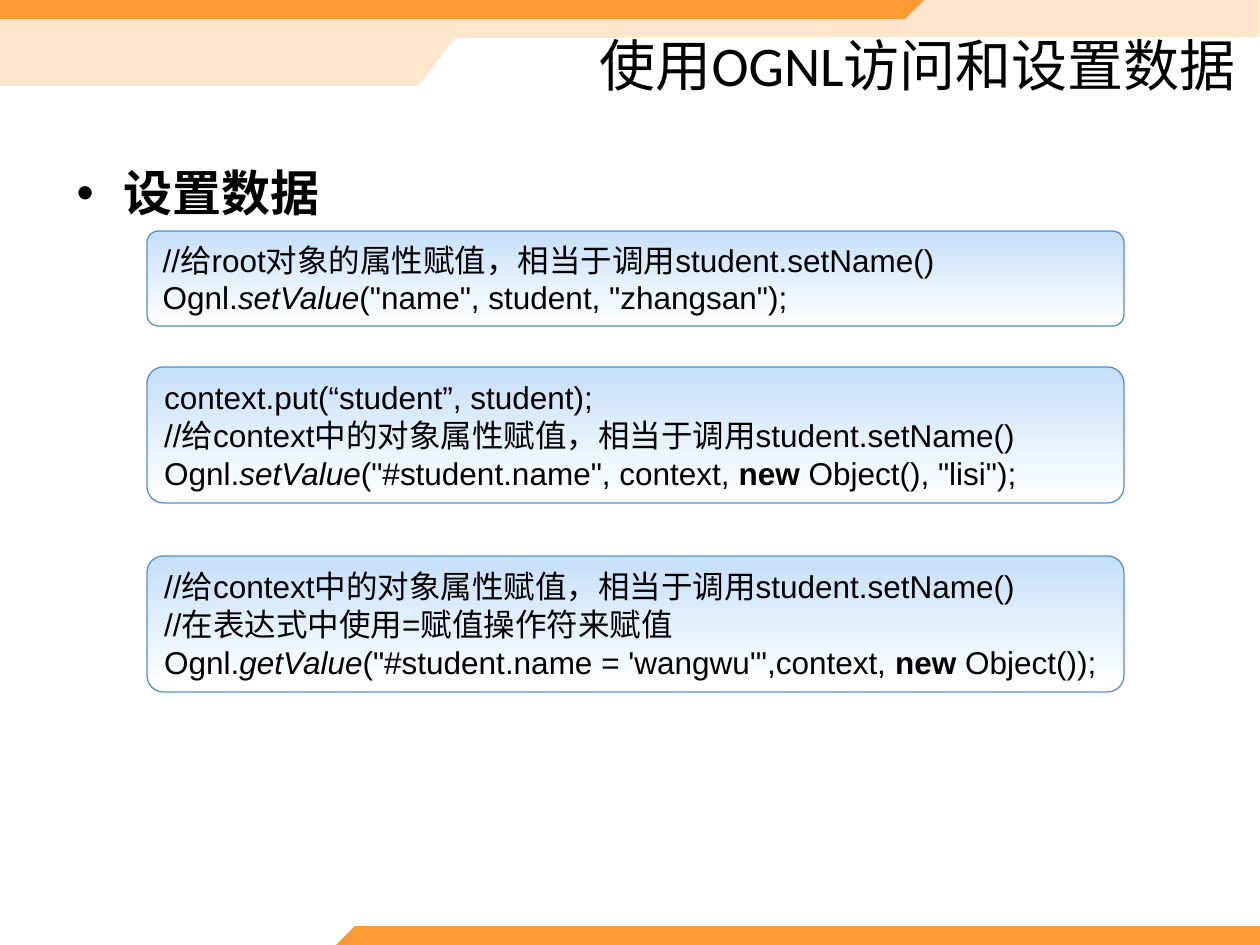
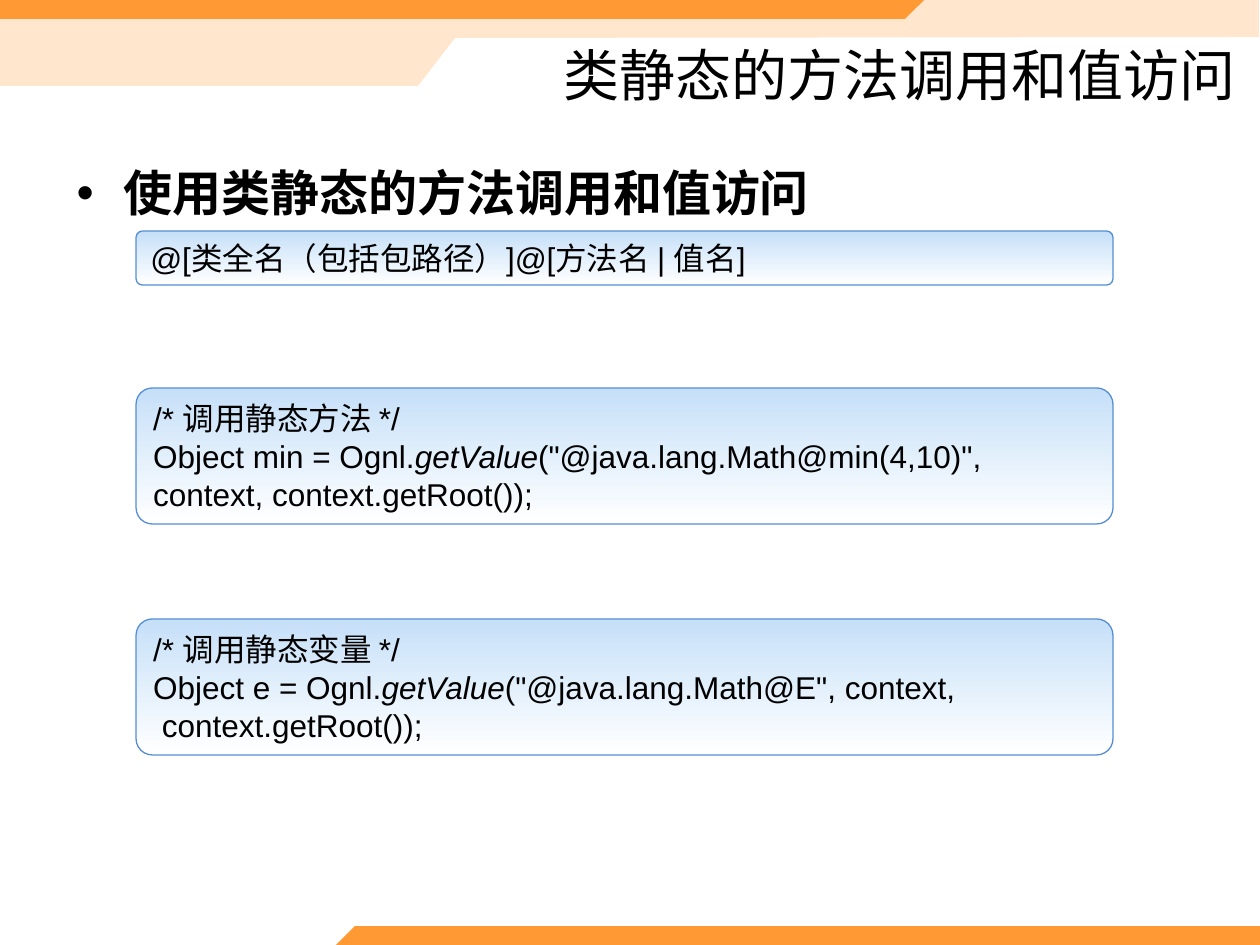
from dataclasses import dataclass

from pptx import Presentation
from pptx.dml.color import RGBColor
from pptx.enum.shapes import MSO_SHAPE
from pptx.enum.text import MSO_ANCHOR, MSO_AUTO_SIZE, PP_ALIGN
from pptx.util import Pt

PX = 914400 / 126  # EMU in one px


@dataclass(frozen=True)
class Theme:
    ink: str = "000000"
    orange: str = "FF9933"
    peach: str = "FFE6CD"
    box_top: str = "C6E0F8"
    box_bottom: str = "FFFFFF"
    box_line: str = "558ED5"
    heading_font: str = "Calibri"
    code_font: str = "Arial"
    title_size: int = 32
    body_size: int = 28
    code_size: int = 18


THEME = Theme()
SLIDE_SIZE = (1260, 945)

BANDS = [
    (THEME.peach, [(1259, 0), (0, 0), (0, 86), (418, 86), (455, 38), (1259, 37)]),
    (THEME.orange, [(924, 0), (905, 19), (0, 19), (0, 0)]),
    (THEME.orange, [(336, 945), (355, 926), (1260, 926), (1260, 945)]),
]

# A code line is a list of runs: plain text, or (text, style).
SLIDES = [
    dict(
        title="使用OGNL访问和设置数据", title_top=35, bullet="设置数据", box_left=147,
        boxes=[
            dict(top=231, rows=2, code=[
                ["//给root对象的属性赋值，相当于调用student.setName()"],
                ["Ognl.", ("setValue", "italic"), '("name", student, "zhangsan");'],
            ]),
            dict(top=367, rows=3, code=[
                ["context.put(“student”, student);"],
                ["//给context中的对象属性赋值，相当于调用student.setName()"],
                ["Ognl.", ("setValue", "italic"), '("#student.name", context, ',
                 ("new", "bold"), ' Object(), "lisi");'],
            ]),
            dict(top=556, rows=3, code=[
                ["//给context中的对象属性赋值，相当于调用student.setName()"],
                ["//在表达式中使用=赋值操作符来赋值"],
                ["Ognl.", ("getValue", "italic"), "(\"#student.name = 'wangwu'\",context, ",
                 ("new ", "bold"), "Object());"],
            ]),
        ],
    ),
    dict(
        title="类静态的方法调用和值访问", title_top=45, bullet="使用类静态的方法调用和值访问",
        box_left=136,
        boxes=[
            dict(top=231, rows=1, code=[["@[类全名（包括包路径）]@[方法名 | 值名]"]]),
            dict(top=388, rows=3, code=[
                ["/* 调用静态方法 */"],
                ["Object min = Ognl.", ("getValue", "italic"),
                 '("@java.lang.Math@min(4,10)", context, context.getRoot());'],
            ]),
            dict(top=619, rows=3, code=[
                ["/* 调用静态变量 */"],
                ["Object e = Ognl.", ("getValue", "italic"), '("@java.lang.Math@E", context,'],
                [" context.getRoot());"],
            ]),
        ],
    ),
]

TITLE_LEFT, TITLE_WIDTH, TITLE_HEIGHT = 512, 737, 59
BODY = (64, 127, 1134, 713)
BOX_WIDTH, FIRST_ROW, NEXT_ROW = 977, 54, 41


def px(*values):
    return [round(v * PX) for v in values]


def rgb(code):
    return RGBColor.from_string(code)


def add_text(p, text, size, font, bold=False, italic=False):
    r = p.add_run()
    r.text = text
    r.font.name, r.font.size = font, Pt(size)
    r.font.bold, r.font.italic = bold, italic
    r.font.color.rgb = rgb(THEME.ink)


def place(shape, *box):
    shape.left, shape.top, shape.width, shape.height = px(*box)


def move_bands_to_master(prs, s):
    """Draw the bands on a slide, then move them behind everything on the master."""
    tree = prs.slide_master.shapes.element
    for i, (colour, points) in enumerate(BANDS):
        builder = s.shapes.build_freeform(*points[0], scale=PX)
        builder.add_line_segments(points[1:], close=True)
        band = builder.convert_to_shape()
        band.shadow.inherit = False
        band.fill.solid()
        band.fill.fore_color.rgb = rgb(colour)
        band.line.fill.background()
        tree.insert(2 + i, band.element)


def add_headings(s, title, title_top, bullet):
    heading, body = s.shapes.title, s.placeholders[1]
    place(heading, TITLE_LEFT, title_top, TITLE_WIDTH, TITLE_HEIGHT)
    place(body, *BODY)
    for shape in (heading, body):
        shape.text_frame.auto_size = MSO_AUTO_SIZE.NONE
    heading.text_frame.vertical_anchor = MSO_ANCHOR.MIDDLE
    p = heading.text_frame.paragraphs[0]
    p.alignment = PP_ALIGN.RIGHT
    add_text(p, title, THEME.title_size, THEME.heading_font)
    p = body.text_frame.paragraphs[0]
    p.line_spacing = 1.5
    add_text(p, bullet, THEME.body_size, THEME.heading_font, bold=True)


def add_code_box(s, left, top, rows, code):
    height = FIRST_ROW + NEXT_ROW * (rows - 1)
    box = s.shapes.add_shape(MSO_SHAPE.ROUNDED_RECTANGLE, *px(left, top, BOX_WIDTH, height))
    box.adjustments[0] = 0.12
    box.shadow.inherit = False
    box.fill.gradient()
    box.fill.gradient_angle = 270
    for stop, colour in zip(box.fill.gradient_stops, (THEME.box_top, THEME.box_bottom)):
        stop.color.rgb = rgb(colour)
    box.line.color.rgb = rgb(THEME.box_line)
    box.line.width = Pt(0.75)
    tf = box.text_frame
    tf.word_wrap = True
    tf.auto_size = MSO_AUTO_SIZE.SHAPE_TO_FIT_TEXT
    tf.vertical_anchor = MSO_ANCHOR.TOP
    for i, line in enumerate(code):
        p = tf.add_paragraph() if i else tf.paragraphs[0]
        p.alignment = PP_ALIGN.LEFT
        for run in line:
            text, style = (run, None) if isinstance(run, str) else run
            add_text(p, text, THEME.code_size, THEME.code_font,
                     bold=style == "bold", italic=style == "italic")


def main():
    prs = Presentation()
    prs.slide_width, prs.slide_height = px(*SLIDE_SIZE)
    for i, content in enumerate(SLIDES):
        s = prs.slides.add_slide(prs.slide_layouts[1])
        if i == 0:
            move_bands_to_master(prs, s)
        add_headings(s, content["title"], content["title_top"], content["bullet"])
        for box in content["boxes"]:
            add_code_box(s, content["box_left"], **box)
    prs.save("out.pptx")


if __name__ == "__main__":
    main()
